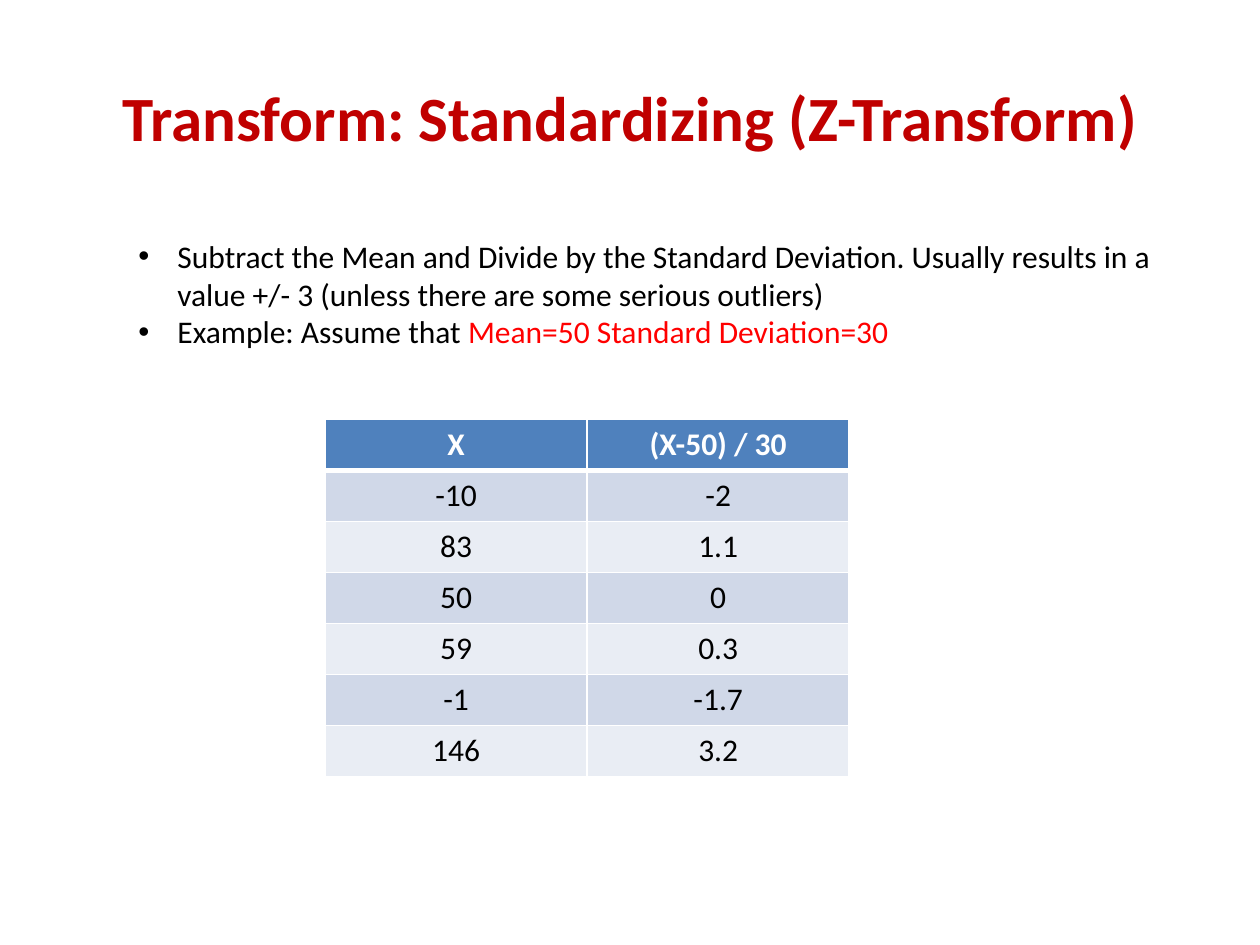
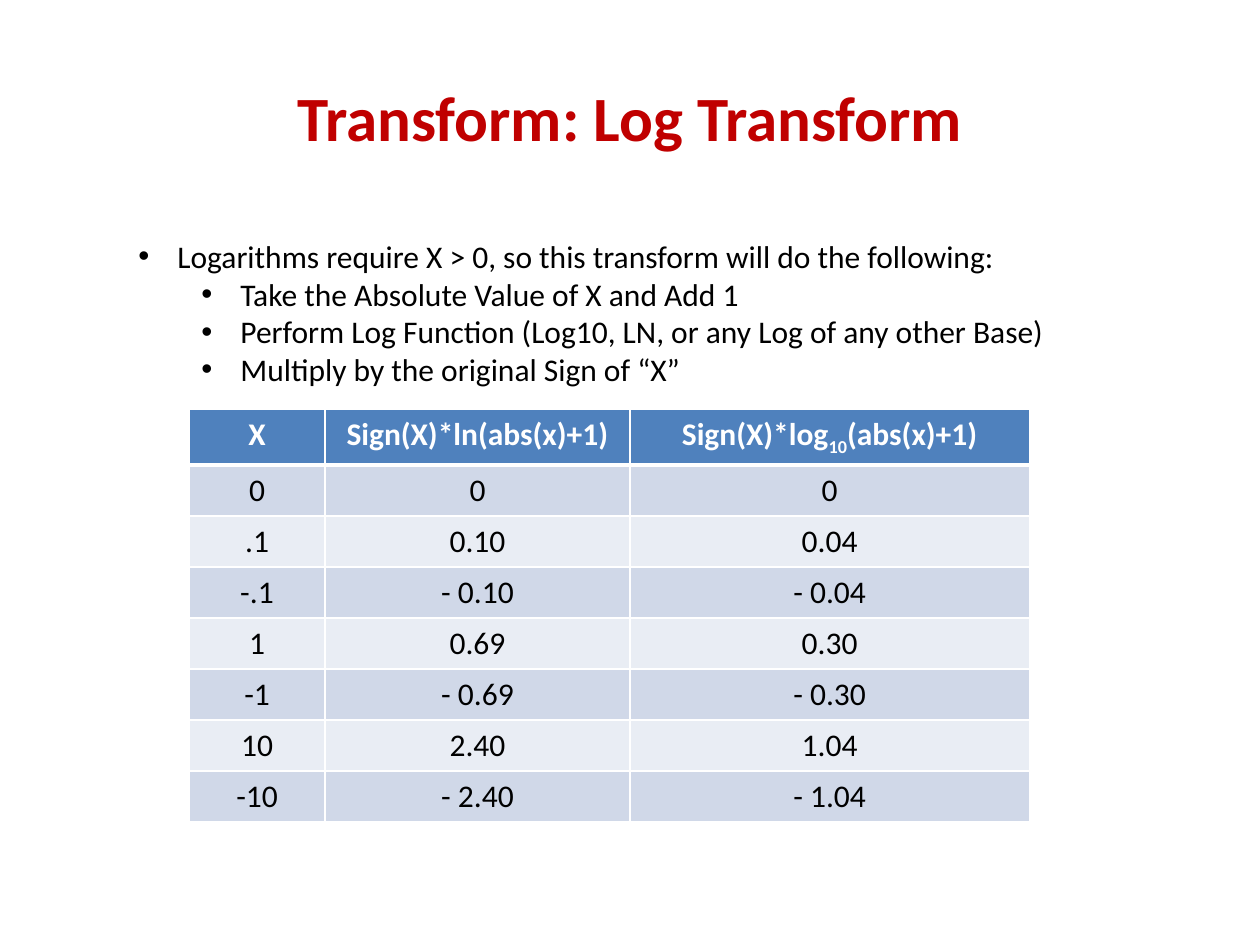
"""Build two slides on data transforms: standardizing and the log transform."""
from dataclasses import dataclass

from lxml.etree import SubElement
from pptx import Presentation
from pptx.dml.color import RGBColor
from pptx.enum.text import MSO_ANCHOR as Anchor, PP_ALIGN as Align
from pptx.oxml.ns import qn
from pptx.util import Inches, Pt


@dataclass(frozen=True)
class Theme:
    font: str = "Calibri"
    title_size: int = 36
    body_size: int = 18
    title: str = "C00000"
    text: str = "000000"
    accent: str = "FF0000"
    header: str = "4F81BD"
    light: str = "FFFFFF"
    bands: tuple = ("D0D8E8", "E9EDF4")
    thin_line: int = 1
    thick_line: int = 3


theme = Theme()


def add_runs(paragraph, runs, size, color, bold=False):
    for text, style in runs:
        run = paragraph.add_run()
        run.text = text
        run.font.name = theme.font
        run.font.size = Pt(size)
        run.font.bold = bold
        run.font.color.rgb = RGBColor.from_string(theme.accent if style == "accent" else color)
        if style == "subscript":
            run._r.get_or_add_rPr().set("baseline", "-25000")


def add_border(cell, side, width):
    line = SubElement(cell._tc.get_or_add_tcPr(), qn(f"a:{side}"), w=str(Pt(width)))
    fill = SubElement(line, qn("a:solidFill"))
    SubElement(fill, qn("a:srgbClr"), val=theme.light)


slides = [
    {
        "title": "Transform: Standardizing (Z-Transform)",
        "bullets": [
            (1, [("Subtract the Mean and Divide by the Standard Deviation. Usually results in a "
                  "value +/- 3 (unless there are some serious outliers)", "plain")]),
            (1, [("Example: Assume that ", "plain"),
                 ("Mean=50 Standard Deviation=30", "accent")]),
        ],
        "body_height": 1.01,
        "table_origin": (2.58, 3.33),
        "columns": [2.08, 2.08],
        "header": [[("X", "plain")], [("(X-50) / 30", "plain")]],
        "rows": [("-10", "-2"), ("83", "1.1"), ("50", "0"),
                 ("59", "0.3"), ("-1", "-1.7"), ("146", "3.2")],
    },
    {
        "title": "Transform: Log Transform",
        "bullets": [
            (1, [("Logarithms require X > 0, so this transform will do the following:", "plain")]),
            (2, [("Take the Absolute Value of X and Add 1", "plain")]),
            (2, [("Perform Log Function (Log10, LN, or any Log of any other Base)", "plain")]),
            (2, [("Multiply by the original Sign of “X”", "plain")]),
        ],
        "body_height": 1.31,
        "table_origin": (1.5, 3.25),
        "columns": [1.08, 2.42, 3.17],
        "header": [[("X", "plain")], [("Sign(X)*ln(abs(x)+1)", "plain")],
                   [("Sign(X)*log", "plain"), ("10", "subscript"), ("(abs(x)+1)", "plain")]],
        "rows": [("0", "0", "0"), (".1", "0.10", "0.04"), ("-.1", "- 0.10", "- 0.04"),
                 ("1", "0.69", "0.30"), ("-1", "- 0.69", "- 0.30"),
                 ("10", "2.40", "1.04"), ("-10", "- 2.40", "- 1.04")],
    },
]

presentation = Presentation()
presentation.slide_width = Inches(10)
presentation.slide_height = Inches(7.5)
row_height = Inches(0.405)

for content in slides:
    slide = presentation.slides.add_slide(presentation.slide_layouts[6])

    title = slide.shapes.add_textbox(Inches(0.5), Inches(0.3), Inches(9), Inches(1.25)).text_frame
    title.word_wrap = True
    title.vertical_anchor = Anchor.MIDDLE
    title.paragraphs[0].alignment = Align.CENTER
    add_runs(title.paragraphs[0], [(content["title"], "plain")],
             theme.title_size, theme.title, bold=True)

    body = slide.shapes.add_textbox(Inches(0.5), Inches(1.83), Inches(9),
                                    Inches(content["body_height"])).text_frame
    body.word_wrap = True
    for index, (level, runs) in enumerate(content["bullets"]):
        paragraph = body.add_paragraph() if index else body.paragraphs[0]
        paragraph.level = level
        properties = paragraph._p.get_or_add_pPr()
        properties.set("marL", str(Inches(0.31 + 0.5 * level)))
        properties.set("indent", str(Inches(-0.31)))
        SubElement(properties, qn("a:buFont"), typeface="Arial")
        SubElement(properties, qn("a:buChar"), char="•")
        add_runs(paragraph, runs, theme.body_size, theme.text)

    left, top = content["table_origin"]
    rows = [content["header"]]
    rows += [[[(value, "plain")] for value in values] for values in content["rows"]]
    table = slide.shapes.add_table(
        len(rows), len(content["columns"]), Inches(left), Inches(top),
        Inches(sum(content["columns"])), row_height * len(rows)).table
    for column, width in zip(table.columns, content["columns"]):
        column.width = Inches(width)

    for row_index, row in enumerate(rows):
        table.rows[row_index].height = row_height
        is_header = row_index == 0
        fill_color = theme.header if is_header else theme.bands[(row_index - 1) % 2]
        top_line = theme.thick_line if row_index == 1 else theme.thin_line
        bottom_line = theme.thick_line if is_header else theme.thin_line
        for column_index, runs in enumerate(row):
            cell = table.cell(row_index, column_index)
            for side, width in (("lnL", theme.thin_line), ("lnR", theme.thin_line),
                                ("lnT", top_line), ("lnB", bottom_line)):
                add_border(cell, side, width)
            cell.fill.solid()
            cell.fill.fore_color.rgb = RGBColor.from_string(fill_color)
            paragraph = cell.text_frame.paragraphs[0]
            paragraph.alignment = Align.CENTER
            add_runs(paragraph, runs, theme.body_size,
                     theme.light if is_header else theme.text, bold=is_header)

presentation.save("out.pptx")
